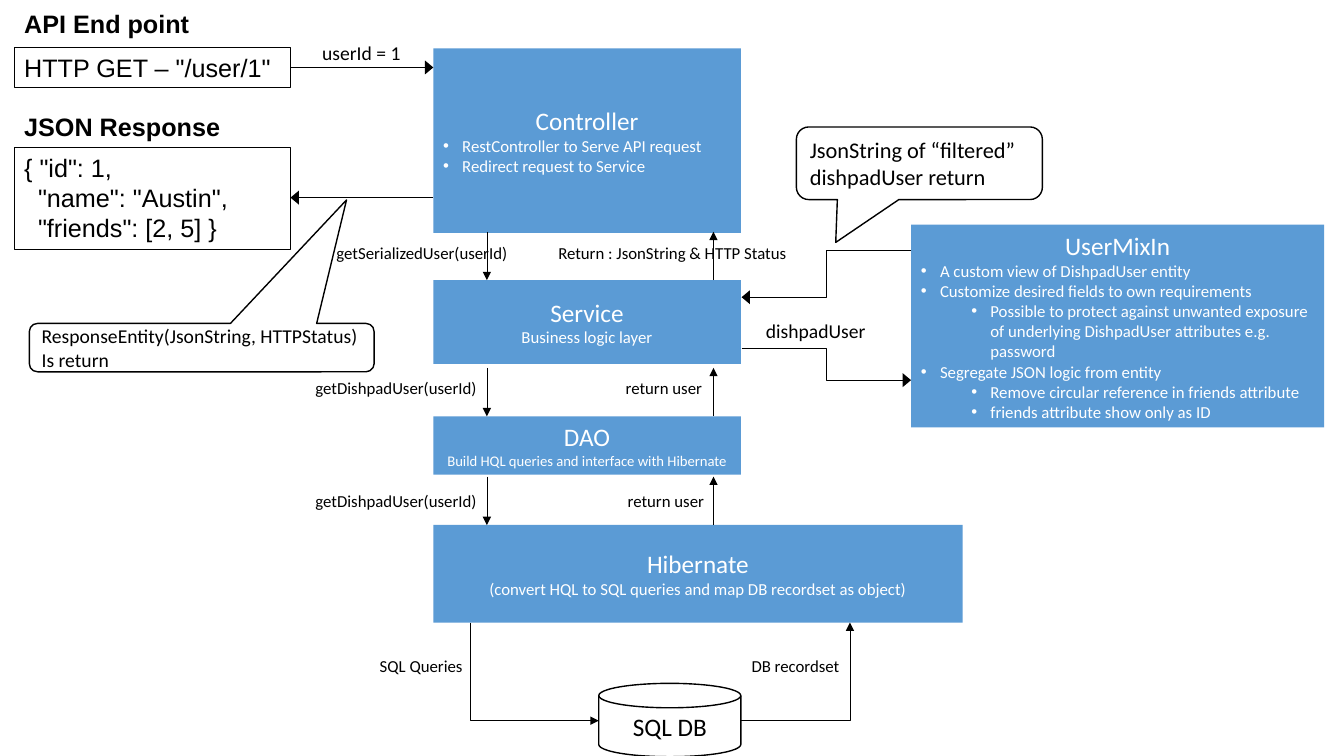
import pptx
import pptx.dml.color
import pptx.enum.shapes
import pptx.enum.text
import pptx.oxml.ns
import pptx.util
from lxml import etree

Cm, Pt = pptx.util.Cm, pptx.util.Pt
qn = pptx.oxml.ns.qn
KIND = pptx.enum.shapes.MSO_SHAPE
LINK = pptx.enum.shapes.MSO_CONNECTOR
ALIGN = pptx.enum.text.PP_ALIGN
ANCHOR = pptx.enum.text.MSO_ANCHOR

BLUE, BLACK, WHITE = "5B9BD5", "000000", "FFFFFF"
LEFT, WIDE = 10.92, 7.75      # column of layers
DOWN, UP, GAP = 12.27, 17.98, 1.22  # arrows between layers


def color(code):
    return pptx.dml.color.RGBColor.from_string(code)


def write(frame, text, size=12, font="Calibri", ink=BLACK, bold=False,
          center=False, level=None, indent=0):
    """Add a paragraph; a level makes it a bullet."""
    para = frame.paragraphs[0] if not frame.text else frame.add_paragraph()
    para.alignment = ALIGN.CENTER if center else ALIGN.LEFT
    run = para.add_run()
    run.text = text
    run.font.size, run.font.name, run.font.bold = Pt(size), font, bold
    run.font.color.rgb = color(ink)
    props = para._p.get_or_add_pPr()
    if indent:
        props.set("marL", str(Cm(indent)))
    if level is not None:
        para.level = level
        props.set("marL", str(Cm(0.48 + 1.27 * level)))
        props.set("indent", str(-Cm(0.48)))
        etree.SubElement(props, qn("a:buFont")).set("typeface", "Arial")
        etree.SubElement(props, qn("a:buChar")).set("char", "•")


def shape(slide, kind, x, y, w, h, fill=None, line=None, top=False):
    """Add a preset shape and return it."""
    item = slide.shapes.add_shape(kind, Cm(x), Cm(y), Cm(w), Cm(h))
    item.shadow.inherit = False
    if fill:
        item.fill.solid()
        item.fill.fore_color.rgb = color(fill)
    else:
        item.fill.background()
    if line:
        item.line.color.rgb = color(BLACK)
        item.line.width = Pt(line)
    else:
        item.line.fill.background()
    item.text_frame.word_wrap = True
    item.text_frame.vertical_anchor = ANCHOR.TOP if top else ANCHOR.MIDDLE
    return item


def layer(slide, x, y, w, h, title, note=None, size=12, points=()):
    """Blue box with a heading, a note and bullets."""
    frame = shape(slide, KIND.RECTANGLE, x, y, w, h, fill=BLUE).text_frame
    write(frame, title, size=18, ink=WHITE, center=True)
    if note:
        write(frame, note, size=size, ink=WHITE, center=True)
    for level, text in points:
        write(frame, text, ink=WHITE, level=level)


def code(slide, y, h, rows):
    """Outlined box with lines of code."""
    frame = shape(slide, KIND.RECTANGLE, 0.36, y, 6.96, h, line=0.75,
                  top=True).text_frame
    for indent, text in rows:
        write(frame, text, size=18, font="Arial", indent=indent)


def label(slide, x, y, w, h, text, **style):
    frame = slide.shapes.add_textbox(Cm(x), Cm(y), Cm(w), Cm(h)).text_frame
    frame.word_wrap = False
    write(frame, text, **style)


def callout(slide, x, y, w, h, tip, text, size):
    item = shape(slide, KIND.ROUNDED_RECTANGULAR_CALLOUT, x, y, w, h, line=1)
    for spot, value in enumerate(tip):
        item.adjustments[spot] = value
    write(item.text_frame, text, size=size)


def arrow(slide, x1, y1, x2, y2, bend=None, big=False):
    """Arrow to the second point; bend is the place of the elbow."""
    kind = LINK.STRAIGHT if bend is None else LINK.ELBOW
    item = slide.shapes.add_connector(kind, Cm(x1), Cm(y1), Cm(x2), Cm(y2))
    item.line.color.rgb = color(BLACK)
    item.line.width = Pt(0.5)
    props = item._element.spPr
    tail = etree.SubElement(props.find(qn("a:ln")), qn("a:tailEnd"))
    tail.set("type", "triangle")
    tail.set("w", "lg" if big else "med")
    tail.set("len", "med")
    etree.SubElement(props, qn("a:effectLst"))
    if bend is not None:
        guides = props.find(qn("a:prstGeom")).find(qn("a:avLst"))
        guide = etree.SubElement(guides, qn("a:gd"))
        guide.set("name", "adj1")
        guide.set("fmla", f"val {round(bend * 100000)}")


def main():
    deck = pptx.Presentation()
    deck.slide_width, deck.slide_height = Cm(33.87), Cm(19.05)
    slide = deck.slides.add_slide(deck.slide_layouts[6])

    # Layers
    layer(slide, LEFT, 1.22, WIDE, 4.65, "Controller", points=[
        (0, "RestController to Serve API request"),
        (0, "Redirect request to Service")])
    layer(slide, LEFT, 7.06, WIDE, 2.11, "Service", "Business logic layer")
    layer(slide, LEFT, 10.49, WIDE, 1.47, "DAO",
          "Build HQL queries and interface with Hibernate", size=10.5)
    layer(slide, LEFT, 13.23, 13.34, 2.46, "Hibernate",
          "(convert HQL to SQL queries and map DB recordset as object)")
    layer(slide, 22.96, 5.66, 10.41, 5.11, "UserMixIn", points=[
        (0, "A custom view of DishpadUser entity"),
        (0, "Customize desired fields to own requirements"),
        (1, "Possible to protect against unwanted exposure of underlying "
            "DishpadUser attributes e.g. password"),
        (0, "Segregate JSON logic from entity"),
        (1, "Remove circular reference in friends attribute"),
        (1, "friends attribute show only as ID")])

    # Request and response
    for y, w, text in [(0.08, 4.72, "API End point"),
                       (2.69, 5.51, "JSON Response")]:
        label(slide, 0.36, y, w, 1.02, text, size=18, font="Arial", bold=True)
    code(slide, 1.19, 1.02, [(0, 'HTTP GET – "/user/1"')])
    code(slide, 3.71, 2.57, [(0, '{ "id": 1,'), (0.35, '"name": "Austin",'),
                             (0.35, '"friends": [2, 5] }')])
    arrow(slide, 7.32, 1.7, LEFT, 1.7, big=True)
    arrow(slide, LEFT, 4.98, 7.32, 4.98, big=True)

    # Database
    disk = shape(slide, KIND.FLOWCHART_MAGNETIC_DISK, 15.09, 17.22, 3.58,
                 1.85, line=1)
    write(disk.text_frame, "SQL DB", size=18, center=True)
    arrow(slide, 11.85, 15.69, 15.09, 18.16, bend=0)
    arrow(slide, 18.67, 18.16, 21.42, 15.69, bend=1)

    # Calls between layers
    for y in (7.06, 10.49, 13.23):
        arrow(slide, DOWN, y - GAP, DOWN, y)
        arrow(slide, UP, y, UP, y - GAP)
    for x, y, w, text in [
            (8.23, 5.99, 4.85, "getSerializedUser(userId)"),
            (13.82, 5.99, 6.32, "Return : JsonString & HTTP Status"),
            (7.7, 9.4, 4.75, "getDishpadUser(userId)"),
            (15.52, 9.4, 2.44, "return user"),
            (7.7, 12.24, 4.75, "getDishpadUser(userId)"),
            (15.57, 12.24, 2.44, "return user"),
            (9.32, 16.41, 2.62, "SQL Queries"),
            (18.69, 16.41, 2.74, "DB recordset")]:
        label(slide, x, y, w, 0.77, text)

    # Exchange with the view
    arrow(slide, 18.69, 8.79, 22.96, 9.58, bend=0.5, big=True)
    arrow(slide, 22.96, 6.32, 18.69, 7.49, bend=0.5, big=True)
    label(slide, 19.05, 7.92, 3.18, 0.86, "dishpadUser", size=14)
    label(slide, 7.87, 0.91, 2.51, 0.86, "userId = 1", size=14)

    # Callouts
    callout(slide, 20.07, 3.2, 6.2, 1.83, (-0.34, 1.09, 0.17),
            "JsonString of “filtered” dishpadUser return", 16)
    callout(slide, 0.74, 8.15, 8.69, 1.22, (0.42, -3.05, 0.17),
            "ResponseEntity(JsonString, HTTPStatus) Is return", 14)

    deck.save("out.pptx")


main()
